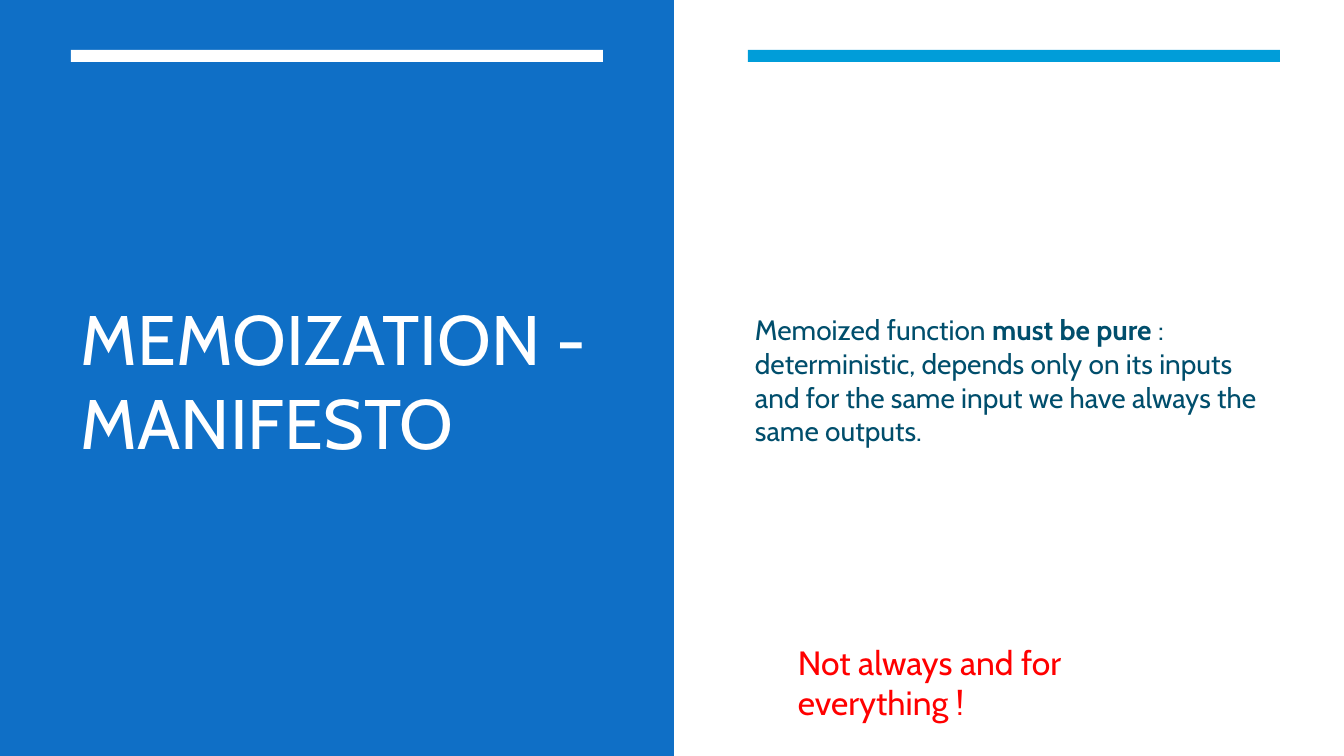
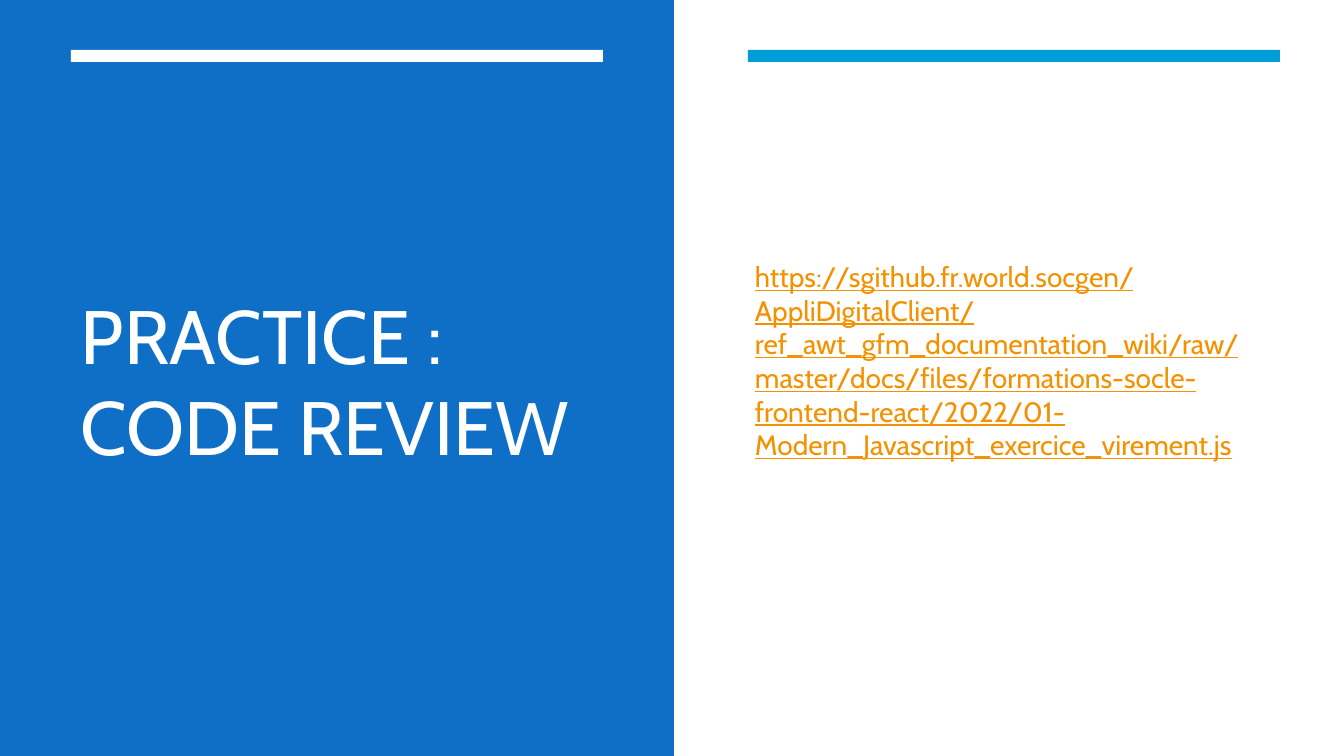
import pptx
import pptx.dml.color
import pptx.enum.shapes
import pptx.enum.text
import pptx.util

EMU_PER_PX = 914400 / 100.8
SLIDE_W, SLIDE_H = 1344, 756
PANEL_W = 674
BAR_TOP, BAR_W, BAR_H = 50, 532, 12
TITLE_LEFT, BODY_LEFT = 71, 745
RIGHT_BAR_LEFT = 748
CONTENT_TOP, CONTENT_H = 114, 532
BODY_W = 535

FONT = "Cabin"
WHITE = "FFFFFF"
BLUE = "0F6FC6"
CYAN = "009DD9"
TEAL = "004E6C"
ORANGE = "F49100"
RED = "FF0000"


def px(length):
    return pptx.util.Emu(round(length * EMU_PER_PX))


def color(hex_string):
    return pptx.dml.color.RGBColor.from_string(hex_string)


def add_band(slide, left, top, width, height, fill):
    band = slide.shapes.add_shape(
        pptx.enum.shapes.MSO_SHAPE.RECTANGLE,
        px(left), px(top), px(width), px(height))
    band.shadow.inherit = False
    band.fill.solid()
    band.fill.fore_color.rgb = color(fill)
    band.line.fill.background()


def add_text(slide, box, runs, size, hex_string, **frame_format):
    """Add one paragraph; runs are pairs of wording and font attributes."""
    frame = slide.shapes.add_textbox(*map(px, box)).text_frame
    settings = {
        "word_wrap": True,
        "vertical_anchor": pptx.enum.text.MSO_ANCHOR.MIDDLE,
        **frame_format,
    }
    for name, value in settings.items():
        setattr(frame, name, value)
    paragraph = frame.paragraphs[0]
    for wording, font_format in runs:
        run = paragraph.add_run()
        run.text = wording
        font = {"name": FONT, "size": pptx.util.Pt(size), **font_format}
        for name, value in font.items():
            setattr(run.font, name, value)
        run.font.color.rgb = color(hex_string)


def add_split_slide(deck, title, title_size):
    """Add a slide with a blue title panel and an open right half."""
    slide = deck.slides.add_slide(deck.slide_layouts[6])
    slide.background.fill.solid()
    slide.background.fill.fore_color.rgb = color(WHITE)
    add_band(slide, 0, 0, PANEL_W, SLIDE_H, BLUE)
    for left, fill in ((TITLE_LEFT, WHITE), (RIGHT_BAR_LEFT, CYAN)):
        add_band(slide, left, BAR_TOP, BAR_W, BAR_H, fill)
    add_text(slide, (TITLE_LEFT, CONTENT_TOP, BAR_W, CONTENT_H),
             [(title, {})], title_size, WHITE)
    return slide


def add_body(slide, runs, hex_string, bottom_inset=5):
    add_text(slide, (BODY_LEFT, CONTENT_TOP, BODY_W, CONTENT_H),
             runs, 20, hex_string, margin_bottom=px(bottom_inset))


def main():
    deck = pptx.Presentation()
    deck.slide_width, deck.slide_height = px(SLIDE_W), px(SLIDE_H)

    manifesto = add_split_slide(deck, "MEMOIZATION - MANIFESTO", 50)
    add_body(manifesto, [
        ("Memoized function ", {}),
        ("must be pure ", {"bold": True}),
        (": deterministic, depends only on its inputs and for the same "
         "input we have always the same outputs.", {}),
    ], TEAL)
    add_text(manifesto, (788, 637, 450, 92),
             [("Not always and for everything !", {})], 24, RED,
             vertical_anchor=pptx.enum.text.MSO_ANCHOR.TOP)

    practice = add_split_slide(deck, "PRACTICE : CODE REVIEW", 54)
    exercise_url = (
        "https://sgithub.fr.world.socgen/AppliDigitalClient/"
        "ref_awt_gfm_documentation_wiki/raw/master/docs/files/"
        "formations-socle-frontend-react/2022/"
        "01-Modern_Javascript_exercice_virement.js")
    add_body(practice, [(exercise_url, {"underline": True})], ORANGE,
             bottom_inset=44)

    deck.save("out.pptx")


if __name__ == "__main__":
    main()
